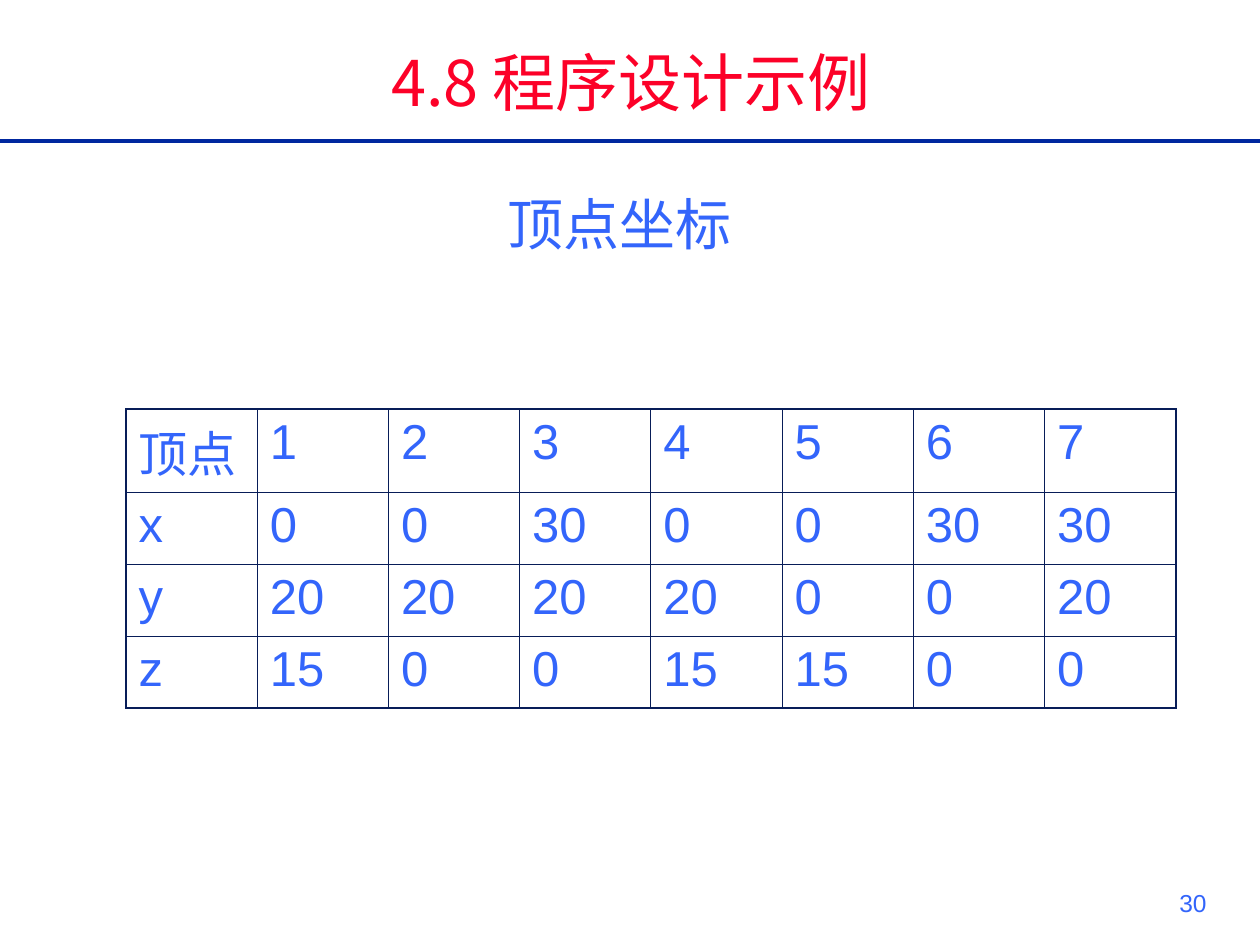
import pptx
import pptx.util
import pptx.dml.color
import pptx.enum.shapes
import pptx.enum.text
import pptx.oxml
import pptx.oxml.ns

SCALE = 914400 / 126
HUES = {"title": "FC0128", "text": "3365FB", "rule": "00279F", "grid": "081D58"}
SANS = "Arial"
HAN = "Noto Sans CJK SC"
ALIGN = pptx.enum.text.PP_ALIGN
ANCHOR = pptx.enum.text.MSO_ANCHOR
ROWS = [
    ["顶点", "1", "2", "3", "4", "5", "6", "7"],
    ["x", "0", "0", "30", "0", "0", "30", "30"],
    ["y", "20", "20", "20", "20", "0", "0", "20"],
    ["z", "15", "0", "0", "15", "15", "0", "0"],
]


def px(num):
    return pptx.util.Emu(round(num * SCALE))


def rgb(name):
    return pptx.dml.color.RGBColor.from_string(HUES[name])


def put(item, values):
    for key, value in values.items():
        setattr(item, key, value)


class Page:
    def __init__(self, deck):
        self.slide = deck.slides.add_slide(deck.slide_layouts[6])
        self.shapes = self.slide.shapes

    def words(self, frame, text, size, hue="text", font=SANS, **form):
        para = frame.paragraphs[0]
        put(para, form)
        run = para.add_run()
        run.text = text
        put(run.font, {"size": pptx.util.Pt(size), "name": font})
        run.font.color.rgb = rgb(hue)
        east = pptx.oxml.parse_xml(
            f'<a:ea {pptx.oxml.ns.nsdecls("a")} typeface="{HAN}"/>')
        run.font._element.append(east)

    def label(self, box, text, size, anchor=ANCHOR.BOTTOM, **form):
        frame = self.shapes.add_textbox(*map(px, box)).text_frame
        put(frame, {"word_wrap": True, "vertical_anchor": anchor})
        self.words(frame, text, size, **form)

    def rule(self, start, end, hue, width):
        kind = pptx.enum.shapes.MSO_CONNECTOR.STRAIGHT
        line = self.shapes.add_connector(kind, *map(px, start + end))
        line.line.color.rgb = rgb(hue)
        line.line.width = pptx.util.Pt(width)
        line._element.spPr.append(
            pptx.oxml.parse_xml(f'<a:effectLst {pptx.oxml.ns.nsdecls("a")}/>'))

    def border(self, cell, side, width):
        edge = pptx.oxml.parse_xml(
            f'<a:ln{side} {pptx.oxml.ns.nsdecls("a")} w="{round(width * 12700)}">'
            f'<a:solidFill><a:srgbClr val="{HUES["grid"]}"/></a:solidFill>'
            f'</a:ln{side}>')
        cell._tc.get_or_add_tcPr().append(edge)

    def table(self, box, rows, tall, size):
        """Draw a grid with thin inner lines and a thicker outer frame."""
        high, wide = len(rows), len(rows[0])
        grid = self.shapes.add_table(high, wide, *map(px, box)).table
        put(grid, {"first_row": False, "horz_banding": False})
        for col in grid.columns:
            col.width = px(box[2] / wide)
        for row, height in zip(grid.rows, tall):
            row.height = px(height)
        for i, row in enumerate(rows):
            for j, text in enumerate(row):
                cell = grid.cell(i, j)
                self.words(cell.text_frame, text, size,
                           space_before=pptx.util.Pt(7))
                outer = {"L": j == 0, "R": j == wide - 1,
                         "T": i == 0, "B": i == high - 1}
                for side, thick in outer.items():
                    self.border(cell, side, 1.08 if thick else 0.45)
                cell.fill.background()


def main():
    deck = pptx.Presentation()
    put(deck, {"slide_width": px(1260), "slide_height": px(945)})
    page = Page(deck)
    page.rule((1260, 141), (0, 141), "rule", 2.25)
    page.label((1152, 882, 67, 63), "30", 14, ANCHOR.TOP, alignment=ALIGN.RIGHT)
    page.table((126, 409, 1050, 299), ROWS, (83, 72, 72, 72), 28)
    page.label((431, 184, 378, 79), "顶点坐标", 32, alignment=ALIGN.CENTER)
    page.label((169, 39, 924, 86), "4.8 程序设计示例", 36, hue="title", font=HAN,
               alignment=ALIGN.CENTER, space_before=pptx.util.Pt(9))
    deck.save("out.pptx")


if __name__ == "__main__":
    main()
